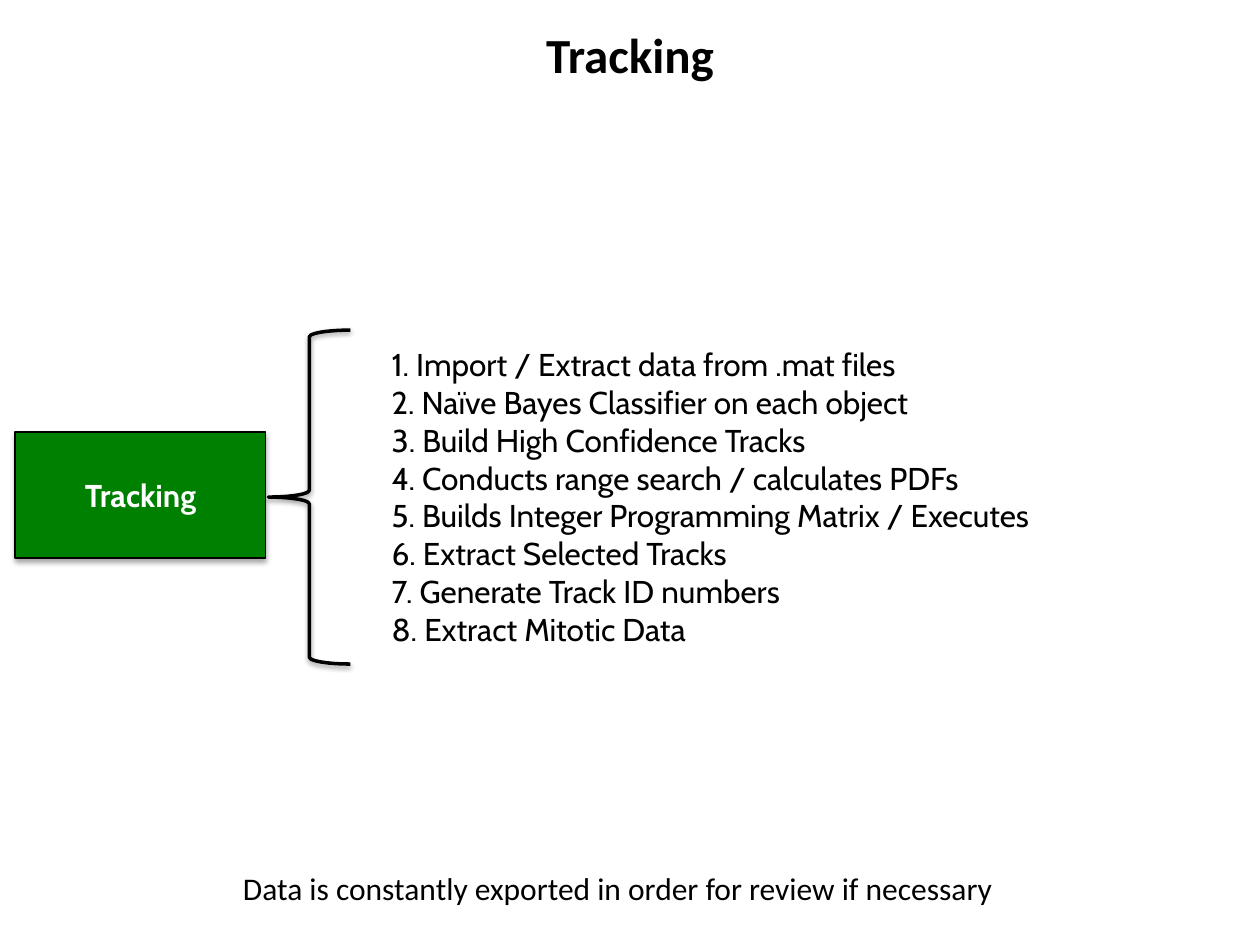
from lxml.etree import SubElement
from pptx import Presentation
from pptx.dml.color import RGBColor
from pptx.enum.shapes import MSO_SHAPE
from pptx.enum.text import MSO_ANCHOR, MSO_AUTO_SIZE, PP_ALIGN
from pptx.oxml.ns import qn
from pptx.util import Inches, Pt

STEPS = [
    "1. Import / Extract data from .mat files",
    "2. Naïve Bayes Classifier on each object",
    "3. Build High Confidence Tracks",
    "4. Conducts range search / calculates PDFs",
    "5. Builds Integer Programming Matrix / Executes",
    "6. Extract Selected Tracks",
    "7. Generate Track ID numbers",
    "8. Extract Mitotic Data",
]


def color(hex_string):
    return RGBColor.from_string(hex_string)


class TrackingSlide:
    BLACK, WHITE, GREEN = "000000", "FFFFFF", "008000"
    HEADING, BODY = "Calibri", "Cabin"

    def __init__(self, presentation):
        self.width = presentation.slide_width
        self.height = presentation.slide_height
        self.slide = presentation.slides.add_slide(presentation.slide_layouts[5])

    def box(self, left, top, width, height):
        return (round(left * self.width / 10), round(top * self.height / 7.5),
                round(width * self.width / 10), round(height * self.height / 7.5))

    def set_text(self, shape, lines, font, size=18, ink=BLACK, bold=False,
                 align=PP_ALIGN.LEFT, **frame_format):
        frame = shape.text_frame
        for name, value in frame_format.items():
            setattr(frame, name, value)
        frame.text = "\n".join(lines)
        font_format = {"name": font, "size": Pt(size), "bold": bold}
        for paragraph in frame.paragraphs:
            paragraph.alignment = align
            for run in paragraph.runs:
                for name, value in font_format.items():
                    setattr(run.font, name, value)
                run.font.color.rgb = color(ink)

    def title(self, text, *area):
        shape = self.slide.shapes.title
        for name, value in zip(("left", "top", "width", "height"), self.box(*area)):
            setattr(shape, name, value)
        self.set_text(shape, [text], self.HEADING, size=28, bold=True,
                      align=PP_ALIGN.CENTER, vertical_anchor=MSO_ANCHOR.MIDDLE,
                      auto_size=MSO_AUTO_SIZE.NONE)

    def text(self, lines, font, *area, wrap=True):
        shape = self.slide.shapes.add_textbox(*self.box(*area))
        self.set_text(shape, lines, font, word_wrap=wrap,
                      auto_size=MSO_AUTO_SIZE.SHAPE_TO_FIT_TEXT)

    def shape(self, kind, *area, fill=None, line_width, opacity, distance):
        shape = self.slide.shapes.add_shape(kind, *self.box(*area))
        if fill:
            shape.fill.solid()
            shape.fill.fore_color.rgb = color(fill)
        else:
            shape.fill.background()
        shape.line.color.rgb = color(self.BLACK)
        shape.line.width = Pt(line_width)
        self.shadow(shape, opacity, distance)
        return shape

    def shadow(self, shape, opacity, distance):
        shape.shadow.inherit = False
        effects = shape._element.spPr.find(qn("a:effectLst"))
        outer = SubElement(effects, qn("a:outerShdw"), blurRad=str(Pt(3.1)),
                           dist=str(Pt(distance)), dir=str(90 * 60000),
                           rotWithShape="0")
        ink = SubElement(outer, qn("a:srgbClr"), val=self.BLACK)
        SubElement(ink, qn("a:alpha"), val=str(opacity * 1000))

    def stage(self, text, *area):
        shape = self.shape(MSO_SHAPE.RECTANGLE, *area, fill=self.GREEN,
                           line_width=0.75, opacity=35, distance=1.8)
        self.set_text(shape, [text], self.BODY, ink=self.WHITE, bold=True,
                      align=PP_ALIGN.CENTER, vertical_anchor=MSO_ANCHOR.MIDDLE)

    def brace(self, *area):
        self.shape(MSO_SHAPE.LEFT_BRACE, *area, line_width=2,
                   opacity=38, distance=1.6)


def main():
    presentation = Presentation()
    presentation.slide_width = Inches(10)
    presentation.slide_height = Inches(7.5)

    tracking = TrackingSlide(presentation)
    tracking.title("Tracking", 0, 0.11, 10, 0.64)
    tracking.stage("Tracking", 0.12, 3.43, 1.99, 1)
    tracking.text(STEPS, tracking.BODY, 3.01, 2.69, 5.44, 2.52)
    tracking.brace(2.13, 2.62, 0.65, 2.65)
    tracking.text(["Data is constantly exported in order for review if necessary"],
                  tracking.HEADING, 1.83, 6.85, 6.25, 0.4, wrap=False)

    presentation.save("out.pptx")


if __name__ == "__main__":
    main()
